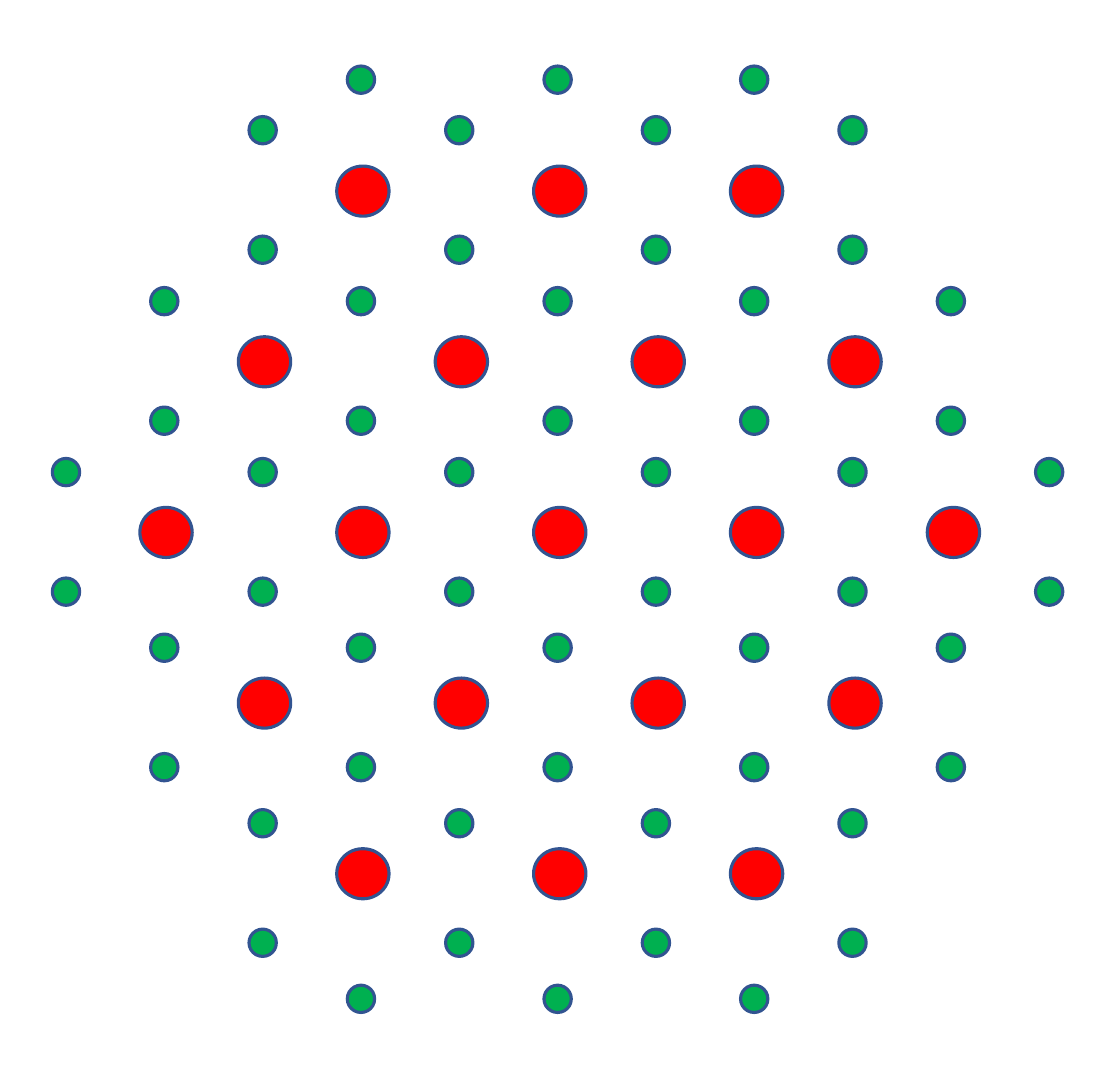
from pptx import Presentation, util as u
from pptx.dml.color import RGBColor
from pptx.enum import shapes

SLIDE_W_CM, SLIDE_H_CM = 12.5, 12
OUTLINE, RED, GREEN = "325491", "FF0000", "00B050"

# Each row: (height down the box in percent, number of sites)
LARGE_ROWS = [(0, 3), (25, 4), (50, 5), (75, 4), (100, 3)]
SMALL_ROWS = [(0, 3), (5.5, 4), (18.5, 4), (24.1, 5), (37.1, 5), (42.7, 6),
              (55.7, 6), (61.8, 5), (74.8, 5), (80.9, 4), (93.9, 4), (100, 3)]


def rgb(code):
    """Turn a hex string into a colour."""
    return RGBColor.from_string(code)


def add_site(layer, x, y, width, height, color):
    """Draw one outlined lattice site centred on (x, y)."""
    site = layer.shapes.add_shape(
        shapes.MSO_SHAPE.OVAL, u.Inches(x - width / 2),
        u.Inches(y - height / 2), u.Inches(width), u.Inches(height))
    site.shadow.inherit = False
    site.fill.solid()
    site.fill.fore_color.rgb = rgb(color)
    site.line.color.rgb = rgb(OUTLINE)
    site.line.width = u.Pt(1)


def add_sublattice(slide, box, rows, site_size, color):
    """Fill the box with centred rows; the longest row spans its width."""
    left, top, width, height = box
    pitch = width / (max(count for _, count in rows) - 1)
    layer = slide.shapes.add_group_shape()
    for percent, count in rows:
        first = left + (width - pitch * (count - 1)) / 2
        for column in range(count):
            add_site(layer, first + column * pitch,
                     top + height * percent / 100, *site_size, color)


def main():
    """Build the slide with its two sublattices."""
    deck = Presentation()
    deck.slide_width, deck.slide_height = u.Cm(SLIDE_W_CM), u.Cm(SLIDE_H_CM)
    slide = deck.slides.add_slide(deck.slide_layouts[6])
    add_sublattice(slide, (0.73, 0.84, 3.46, 3), LARGE_ROWS, (0.23, 0.22), RED)
    add_sublattice(slide, (0.29, 0.35, 4.32, 4.04), SMALL_ROWS, (0.12, 0.12), GREEN)
    deck.save("out.pptx")


main()
